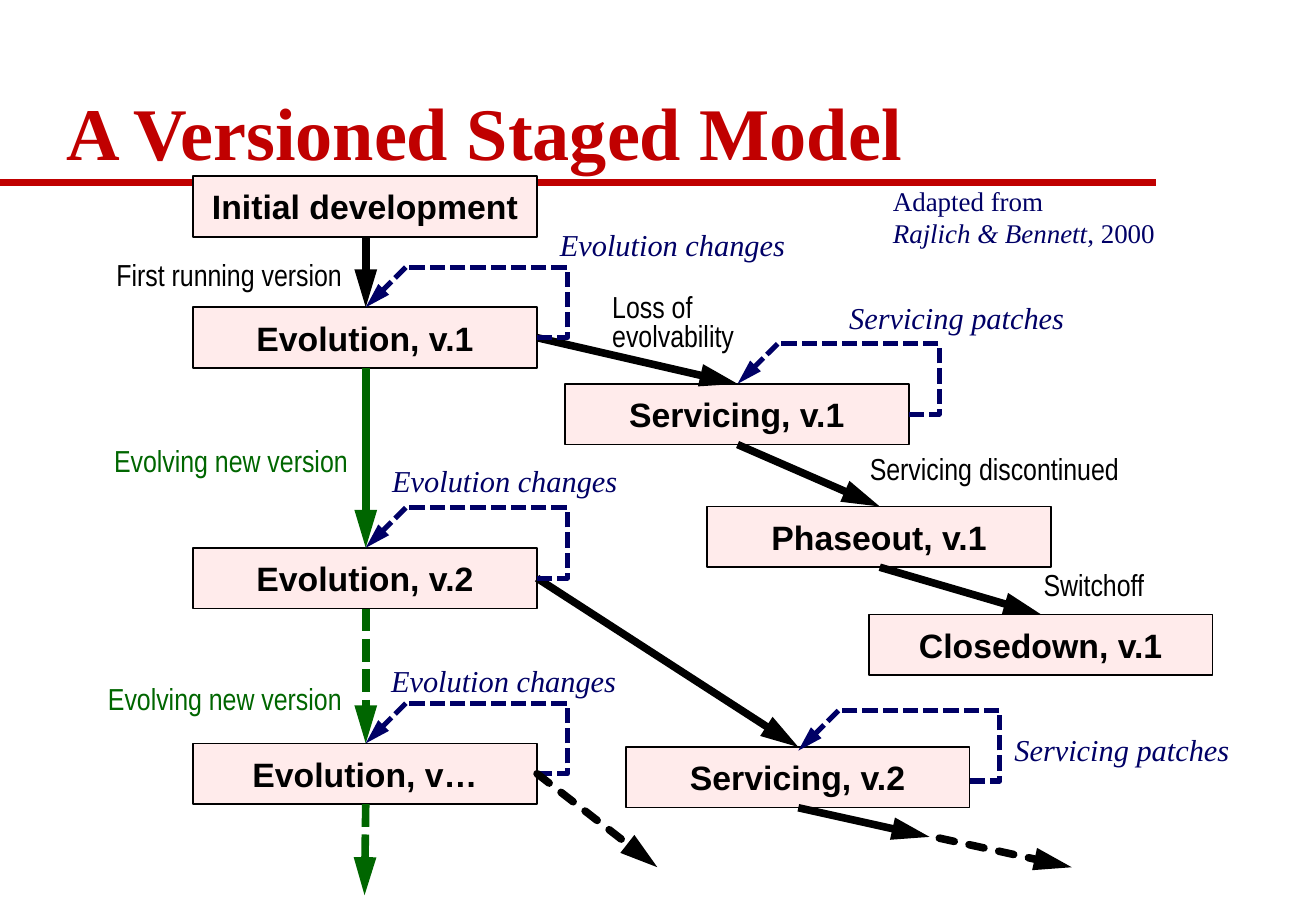
from pptx import Presentation, util as u
from pptx.dml.color import RGBColor
from pptx.enum import dml, shapes, text
from pptx.oxml.ns import qn
from lxml import etree

SCALE = 9144
RED, NAVY, GREEN, BLACK, PINK = "C00000", "000066", "006600", "000000", "FFEBEB"
SERIF, SANS, SLIM = "Times New Roman", "Arial", "Arial Narrow"
WIDE, HIGH = 283, 50

STAGES = {
    "Initial development": (0, 0),
    "Evolution, v.1": (0, 108),
    "Servicing, v.1": (306, 171),
    "Phaseout, v.1": (423, 272),
    "Closedown, v.1": (556, 361),
    "Evolution, v.2": (0, 306),
    "Evolution, v…": (0, 467),
    "Servicing, v.2": (356, 470),
}
LINKS = [
    ("Initial development", "Evolution, v.1", "down", BLACK, False),
    ("Evolution, v.1", "Servicing, v.1", "right", BLACK, False),
    ("Servicing, v.1", "Phaseout, v.1", "down", BLACK, False),
    ("Phaseout, v.1", "Closedown, v.1", "down", BLACK, False),
    ("Evolution, v.1", "Evolution, v.2", "down", GREEN, False),
    ("Evolution, v.2", "Evolution, v…", "down", GREEN, True),
    ("Evolution, v.2", "Servicing, v.2", "right", BLACK, False),
]
LOOPS = [
    ("Evolution, v.1", 0),
    ("Servicing, v.1", 0),
    ("Evolution, v.2", 0),
    ("Evolution, v…", 0),
    ("Servicing, v.2", 3),
]
TAILS = [
    ((498, 520), (606, 544), BLACK, False),
    ((614, 545), (723, 569), BLACK, True),
    ((142, 517), (141, 592), GREEN, True),
    ((283, 492), (382, 569), BLACK, True),
]
LABELS = [
    ("Evolution changes", 292, 36, 206, SERIF, NAVY),
    ("Evolution changes", 154, 231, 206, SERIF, NAVY),
    ("Evolution changes", 153, 395, 206, SERIF, NAVY),
    ("Servicing patches", 530, 96, 197, SERIF, NAVY),
    ("Servicing patches", 666, 452, 197, SERIF, NAVY),
    ("First running version", -73, 61, 206, SLIM, BLACK),
    ("Evolving new version", -75, 214, 213, SLIM, GREEN),
    ("Evolving new version", -80, 410, 213, SLIM, GREEN),
    ("Servicing discontinued", 547, 221, 226, SLIM, BLACK),
    ("Switchoff", 690, 316, 103, SLIM, BLACK),
]


def px(*nums):
    return [u.Emu(n * SCALE) for n in nums]


def tint(code):
    return RGBColor.from_string(code)


def style(par, face, size, color, bold=None, slant=None):
    font = par.font
    font.name, font.size = face, u.Pt(size)
    font.bold, font.italic = bold, slant
    font.color.rgb = tint(color)


def write(slide, box, words, face, size, color, bold=None, slant=None, wrap=True):
    frame = slide.shapes.add_textbox(*px(*box)).text_frame
    frame.word_wrap = wrap
    par = frame.paragraphs[0]
    if words:
        par.text = words
    style(par, face, size, color, bold, slant)
    return frame


def draw(slide, start, end, color, width, dots=False, head=True, bend=None):
    kind = shapes.MSO_CONNECTOR.STRAIGHT if bend is None else shapes.MSO_CONNECTOR.ELBOW
    wire = slide.shapes.add_connector(kind, *px(*start, *end))
    wire.line.color.rgb = tint(color)
    wire.line.width = u.Pt(width)
    if dots:
        wire.line.dash_style = dml.MSO_LINE.SQUARE_DOT
    props = wire._element.spPr
    if head:
        etree.SubElement(props.find(qn("a:ln")), qn("a:tailEnd"), type="triangle", w="med", len="lg")
    if bend is not None:
        marks = props.find(qn("a:prstGeom")).get_or_add_avLst()
        etree.SubElement(marks, qn("a:gd"), name="adj1", fmla=f"val {bend}")
    etree.SubElement(props, qn("a:effectLst"))
    return wire


def stage(slide, x, y, name):
    box = slide.shapes.add_shape(shapes.MSO_SHAPE.RECTANGLE, *px(x, y, WIDE, HIGH))
    box.shadow.inherit = False
    box.fill.solid()
    box.fill.fore_color.rgb = tint(PINK)
    box.line.color.rgb = tint(BLACK)
    box.line.width = u.Pt(1)
    frame = box.text_frame
    frame.word_wrap = False
    frame.vertical_anchor = text.MSO_ANCHOR.MIDDLE
    par = frame.paragraphs[0]
    par.text = name
    par.alignment = text.PP_ALIGN.CENTER
    style(par, SANS, 20, BLACK, bold=True)


def loop(slide, x, y):
    turn = (x + 175, y - 33)
    draw(slide, turn, (x + WIDE // 2 + 1, y), NAVY, 3, dots=True)
    draw(slide, (x + WIDE, y + HIGH // 2), turn, NAVY, 3, dots=True, head=False, bend=-23148)


def header(slide, x, y):
    draw(slide, (x, y + 150), (x + 951, y + 150), RED, 4, head=False)
    title = write(slide, (x + 45, y + 29, 988, 121), "A Versioned Staged Model", SERIF, 44, RED, bold=True)
    title.vertical_anchor = text.MSO_ANCHOR.BOTTOM
    title.paragraphs[0].line_spacing = 0.9
    credit = write(slide, (x + 725, y + 137, 267, 83), "", SERIF, 16, NAVY)
    credit.vertical_anchor = text.MSO_ANCHOR.MIDDLE
    par = credit.paragraphs[0]
    par.add_run().text = "Adapted from"
    par.add_line_break()
    names = par.add_run()
    names.text = "Rajlich & Bennett"
    names.font.italic = True
    par.add_run().text = ", 2000"


def model(slide, x, y):
    spots = {name: (x + dx, y + dy) for name, (dx, dy) in STAGES.items()}
    for name, (left, top) in spots.items():
        stage(slide, left, top, name)
    half = WIDE // 2 + 1
    exits = {"down": (half, HIGH), "right": (WIDE, HIGH // 2)}
    for first, last, side, color, dots in LINKS:
        (left, top), (dx, dy) = spots[first], exits[side]
        goal = (spots[last][0] + half, spots[last][1])
        draw(slide, (left + dx, top + dy), goal, color, 4.5, dots)
    for name, drop in LOOPS:
        left, top = spots[name]
        loop(slide, left, top + drop)
    for (ax, ay), (bx, by), color, dots in TAILS:
        wire = draw(slide, (x + ax, y + ay), (x + bx, y + by), color, 4.5, dots)
        if dots and color == BLACK:
            wire.line._ln.set("cap", "rnd")
    for words, dx, dy, wide, face, color in LABELS:
        frame = write(slide, (x + dx, y + dy, wide, 40), words, face, 18, color,
                      slant=face == SERIF, wrap=False)
        frame.auto_size = text.MSO_AUTO_SIZE.SHAPE_TO_FIT_TEXT
    loss = write(slide, (x + 335, y + 93, 126, 59), "Loss of evolvability", SLIM, 18, BLACK)
    loss.paragraphs[0].line_spacing = 0.8


def main():
    deck = Presentation()
    deck.slide_width, deck.slide_height = px(1083, 750)
    slide = deck.slides.add_slide(deck.slide_layouts[6])
    header(slide, 0, 0)
    model(slide, 159, 145)
    deck.save("out.pptx")


if __name__ == "__main__":
    main()
